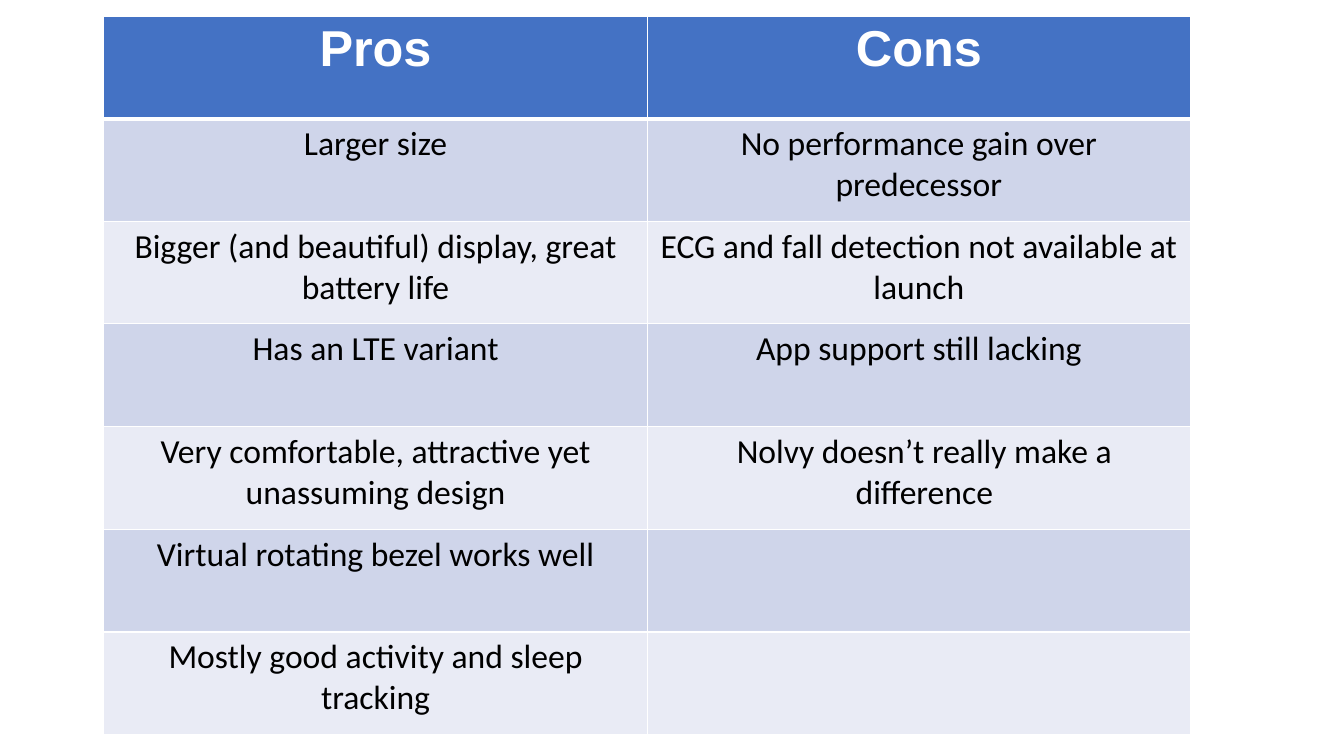
"""Build a slide with a table of smartwatch pros and cons."""
import pptx
import pptx.dml.color
import pptx.enum.text
import pptx.oxml
import pptx.oxml.ns
import pptx.util

Pt = pptx.util.Pt

HEADERS = ("Pros", "Cons")
PROS = [
    "Larger size",
    "Bigger (and beautiful) display, great battery life",
    "Has an LTE variant",
    "Very comfortable, attractive yet unassuming design",
    "Virtual rotating bezel works well",
    "Mostly good activity and sleep tracking",
]
CONS = [
    "No performance gain over predecessor",
    "ECG and fall detection not available at launch",
    "App support still lacking",
    "Nolvy doesn’t really make a difference",
    "",
    "",
]
ROWS = [HEADERS, *zip(PROS, CONS)]
HEADER_FILL, BANDS = "4472C4", ("CFD5EA", "E9EBF5")
WHITE, BLACK = "FFFFFF", "000000"
LEFT, TOP, COL_W, ROW_H = 74.2, 11.5, 388.1, 73.25
MIDDLE_CELL = (4, 1)
MIDDLE_MARGINS = {"left": 15.1, "top": 3.6, "right": 7.2, "bottom": 11.5}


def rgb(color):
    return pptx.dml.color.RGBColor.from_string(color)


def write(cell, text, size, font, color, bold=False):
    p = cell.text_frame.paragraphs[0]
    p.alignment = pptx.enum.text.PP_ALIGN.CENTER
    if text:
        r = p.add_run()
        r.text = text
        r.font.size, r.font.name, r.font.bold = Pt(size), font, bold
        r.font.color.rgb = rgb(color)


def fill(cell, color):
    cell.fill.solid()
    cell.fill.fore_color.rgb = rgb(color)


def border(cell, color, left=1, right=1, top=1, bottom=1):
    sides = {"lnL": left, "lnR": right, "lnT": top, "lnB": bottom}
    ns = pptx.oxml.ns.nsdecls("a")
    tcPr = cell._tc.get_or_add_tcPr()
    for i, (side, width) in enumerate(sides.items()):
        tcPr.insert(i, pptx.oxml.parse_xml(
            f'<a:{side} {ns} w="{Pt(width)}"><a:solidFill>'
            f'<a:srgbClr val="{color}"/></a:solidFill></a:{side}>'))


def main():
    prs = pptx.Presentation()
    prs.slide_width, prs.slide_height = Pt(960), Pt(540)
    s = prs.slides.add_slide(prs.slide_layouts[6])
    n_rows, n_cols = len(ROWS), len(HEADERS)
    table = s.shapes.add_table(n_rows, n_cols, Pt(LEFT), Pt(TOP),
                               Pt(COL_W * n_cols), Pt(ROW_H * n_rows)).table
    for column in table.columns:
        column.width = Pt(COL_W)
    for i, texts in enumerate(ROWS):
        table.rows[i].height = Pt(ROW_H)
        for j, text in enumerate(texts):
            cell = table.cell(i, j)
            if i == 0:
                write(cell, text, 36, "Arial", WHITE, bold=True)
                fill(cell, HEADER_FILL)
            else:
                write(cell, text, 24, "Calibri", BLACK)
                fill(cell, BANDS[(i - 1) % 2])
            border(cell, WHITE, top=3 if i == 1 else 1, bottom=3 if i == 0 else 1)
    cell = table.cell(*MIDDLE_CELL)
    cell.vertical_anchor = pptx.enum.text.MSO_ANCHOR.MIDDLE
    for side, margin in MIDDLE_MARGINS.items():
        setattr(cell, f"margin_{side}", Pt(margin))
    prs.save("out.pptx")


if __name__ == "__main__":
    main()
